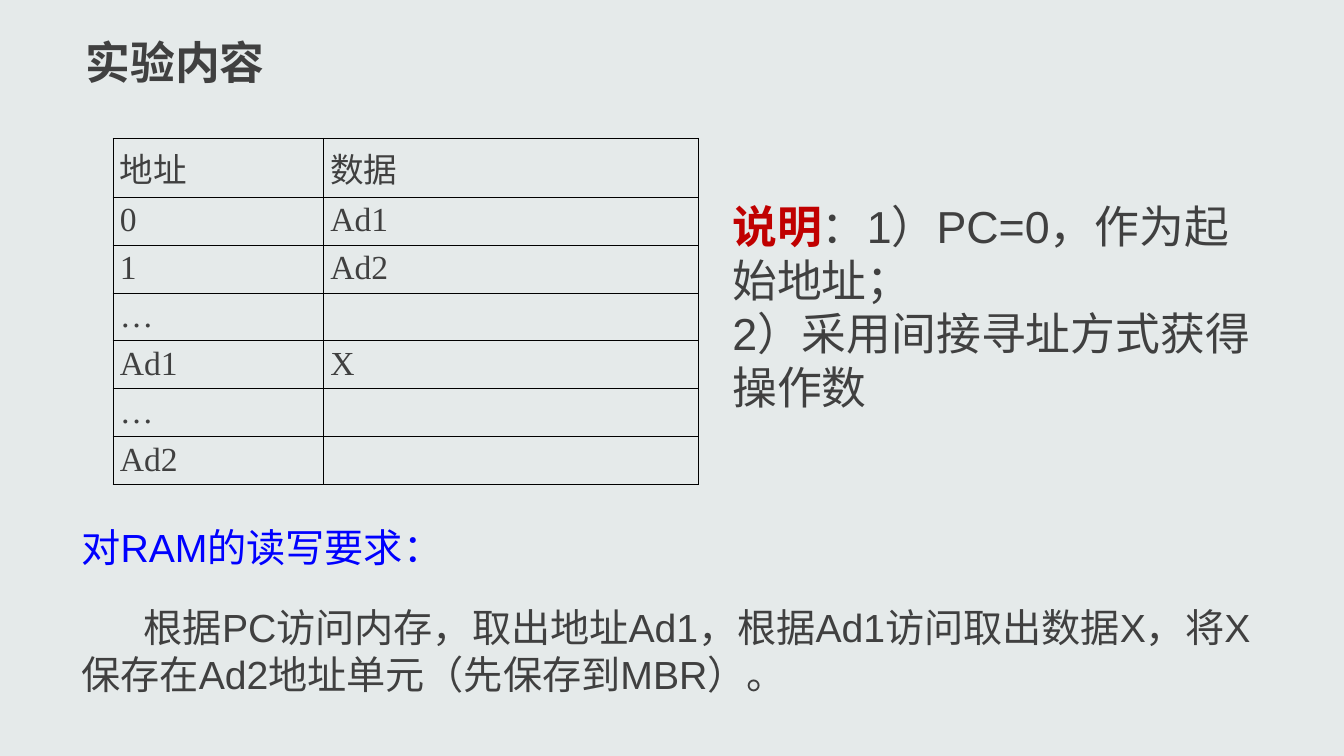
from dataclasses import dataclass
from typing import NamedTuple

from lxml.etree import SubElement
from pptx import Presentation
from pptx.dml.color import RGBColor
from pptx.enum.text import MSO_ANCHOR as Anchor, MSO_AUTO_SIZE as AutoSize, PP_ALIGN as Align
from pptx.oxml import parse_xml
from pptx.oxml.ns import nsdecls, qn
from pptx.util import Pt

PX = 9144
MEMORY_ROWS = [
    ("地址", "数据"),
    ("0", "Ad1"),
    ("1", "Ad2"),
    ("…", ""),
    ("Ad1", "X"),
    ("…", ""),
    ("Ad2", ""),
]


@dataclass(frozen=True)
class Theme:
    """Colours, fonts and type sizes of the deck."""
    background: str = "E5EAEA"
    ink: str = "404040"
    accent: str = "C00000"
    heading: str = "0000FF"
    border: str = "000000"
    sans: str = "Arial"
    serif: str = "Times New Roman"
    large: int = 32
    body: int = 28
    cell: int = 24
    border_width: float = 0.45


class Box(NamedTuple):
    """A rectangle in px."""
    left: int
    top: int
    width: int
    height: int

    def emu(self):
        """Return the rectangle in EMU."""
        return [side * PX for side in self]


THEME = Theme()


def style_font(font, size, color=THEME.ink, name=THEME.sans, bold=False):
    """Set the look of a font."""
    font.size, font.name, font.bold = Pt(size), name, bold
    font.color.rgb = RGBColor.from_string(color)


def set_frame(frame):
    """Give a text frame its insets, wrapping and anchor."""
    frame.margin_left = frame.margin_right = 10 * PX
    frame.margin_top = frame.margin_bottom = 5 * PX
    frame.word_wrap = True
    frame.auto_size = AutoSize.NONE
    frame.vertical_anchor = Anchor.TOP


def add_text_box(slide, box):
    """Add an empty text box and return its frame."""
    frame = slide.shapes.add_textbox(*box.emu()).text_frame
    set_frame(frame)
    return frame


def place_title(slide, box):
    """Move and format the title placeholder."""
    title = slide.shapes.title
    title.left, title.top, title.width, title.height = box.emu()
    frame = title.text_frame
    set_frame(frame)
    frame.text = "实验内容"
    para = frame.paragraphs[0]
    para.alignment = Align.LEFT
    style_font(para.runs[0].font, THEME.large, bold=True)


def set_borders(cell):
    """Draw a thin line on each side of a cell."""
    properties = cell._tc.get_or_add_tcPr()
    for index, side in enumerate(("lnL", "lnR", "lnT", "lnB")):
        line = parse_xml(f'<a:{side} {nsdecls("a")} w="{Pt(THEME.border_width)}"/>')
        fill = SubElement(line, qn("a:solidFill"))
        SubElement(fill, qn("a:srgbClr"), val=THEME.border)
        properties.insert(index, line)


def add_memory_table(slide, box):
    """Add the table of memory addresses and data."""
    table = slide.shapes.add_table(len(MEMORY_ROWS), 2, *box.emu()).table
    table.first_row = table.horz_banding = False
    address_width = 209
    table.columns[0].width = address_width * PX
    table.columns[1].width = (box.width - address_width) * PX
    for row, texts in enumerate(MEMORY_ROWS):
        for column, text in enumerate(texts):
            cell = table.cell(row, column)
            cell.fill.background()
            set_borders(cell)
            cell.margin_left = cell.margin_right = 7 * PX
            cell.margin_top = cell.margin_bottom = 5 * PX
            cell.text = text
            para = cell.text_frame.paragraphs[0]
            para.alignment = Align.JUSTIFY
            style_font(para.font, THEME.cell, name=THEME.serif)
            for span in para.runs:
                style_font(span.font, THEME.cell, name=THEME.serif)


def add_explanation(slide, box):
    """Add the explanation beside the table."""
    frame = add_text_box(slide, box)
    first, second = frame.paragraphs[0], frame.add_paragraph()
    spans = [
        (first, "说明", THEME.accent, True),
        (first, "：1）PC=0，作为起始地址；", THEME.ink, False),
        (second, "2）采用间接寻址方式获得操作数", THEME.ink, False),
    ]
    for para, text, color, bold in spans:
        span = para.add_run()
        span.text = text
        style_font(span.font, THEME.large, color, bold=bold)


def add_requirement(slide, box):
    """Add the read and write requirement below the table."""
    frame = add_text_box(slide, box)
    heading, detail = frame.paragraphs[0], frame.add_paragraph()
    heading.text = "对RAM的读写要求："
    detail.text = "根据PC访问内存，取出地址Ad1，根据Ad1访问取出数据X，将X保存在Ad2地址单元（先保存到MBR）。"
    detail.space_before = Pt(12)
    detail._p.get_or_add_pPr().set("indent", str(62 * PX))
    for para, color in ((heading, THEME.heading), (detail, THEME.ink)):
        para.space_after = Pt(12)
        style_font(para.runs[0].font, THEME.body, color)


def add_experiment_slide(deck):
    """Add the slide on the content of the experiment."""
    slide = deck.slides.add_slide(deck.slide_layouts[5])
    fill = slide.background.fill
    fill.solid()
    fill.fore_color.rgb = RGBColor.from_string(THEME.background)
    place_title(slide, Box(75, 29, 279, 64))
    add_memory_table(slide, Box(112, 137, 581, 333))
    add_explanation(slide, Box(717, 192, 546, 224))
    add_requirement(slide, Box(71, 514, 1190, 184))


def main():
    """Build and save the deck."""
    deck = Presentation()
    deck.slide_width, deck.slide_height = 1334 * PX, 750 * PX
    add_experiment_slide(deck)
    deck.save("out.pptx")


if __name__ == "__main__":
    main()
